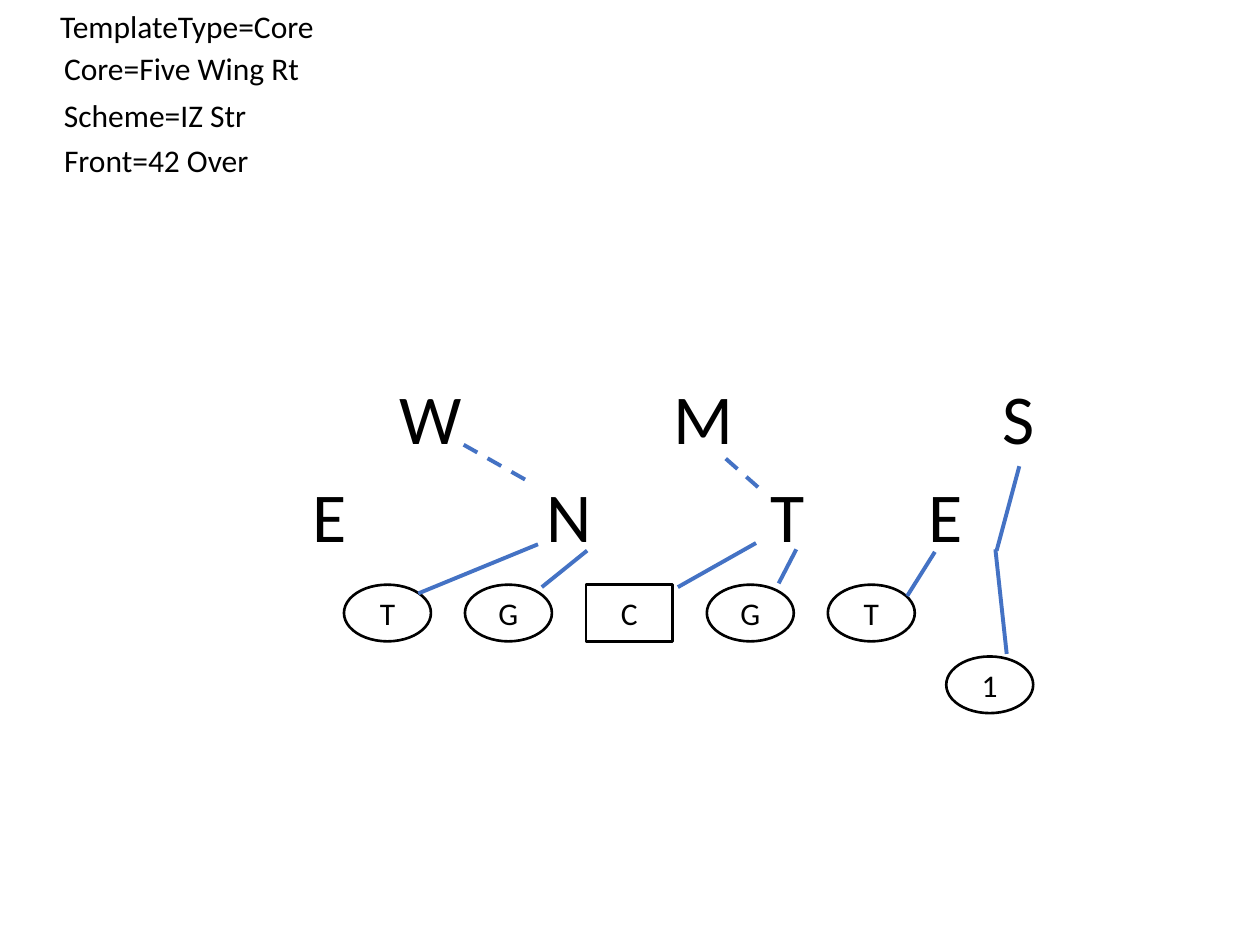
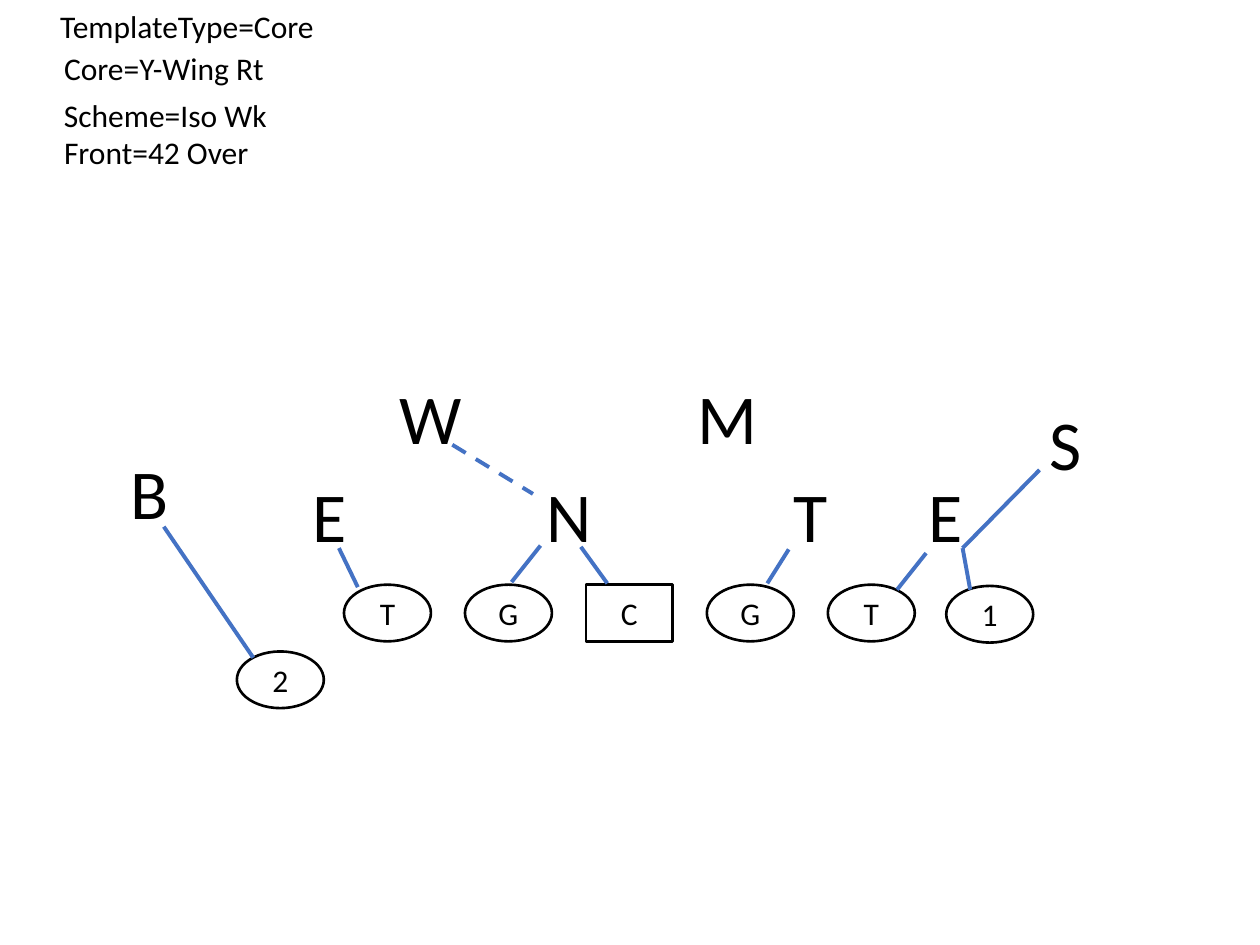
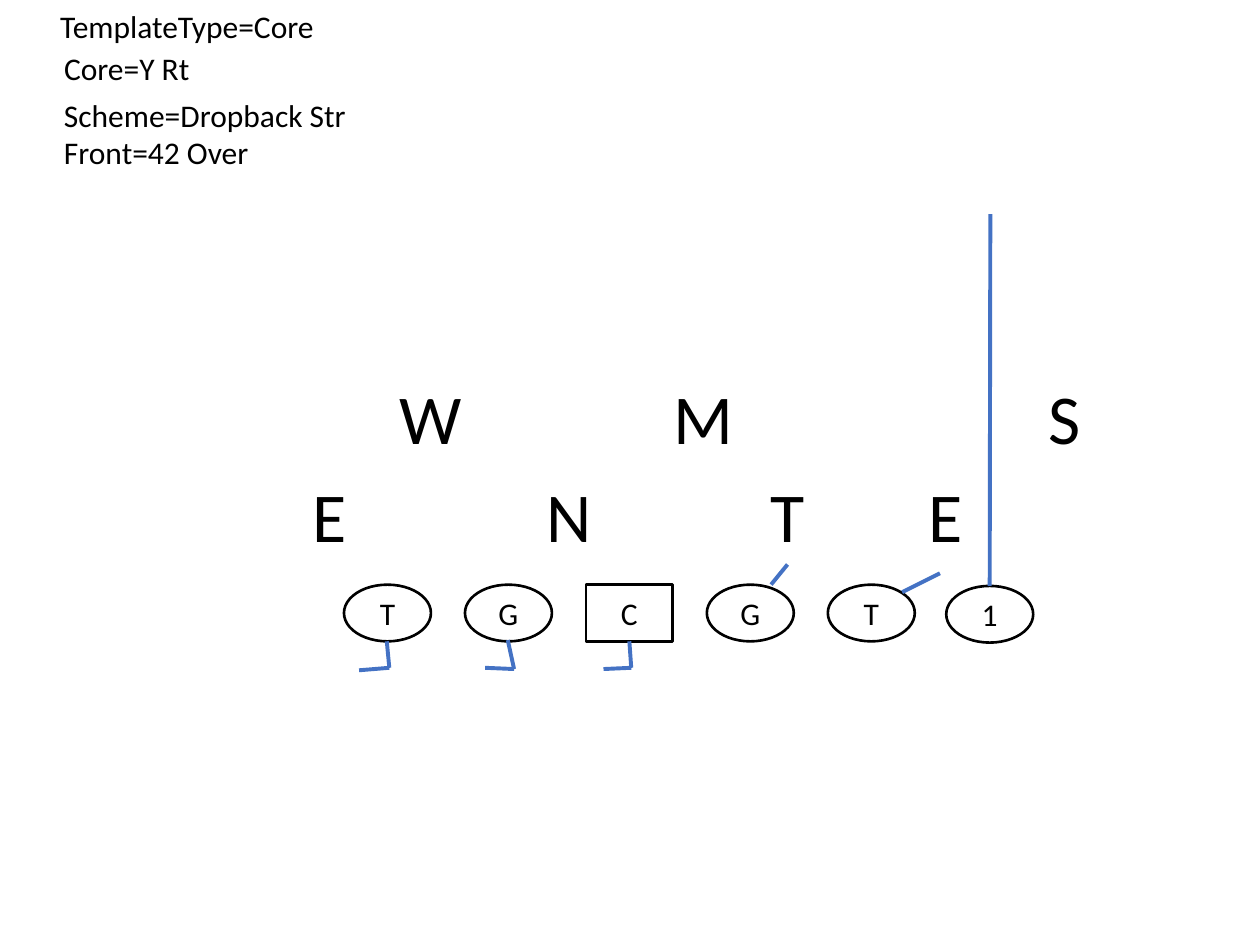
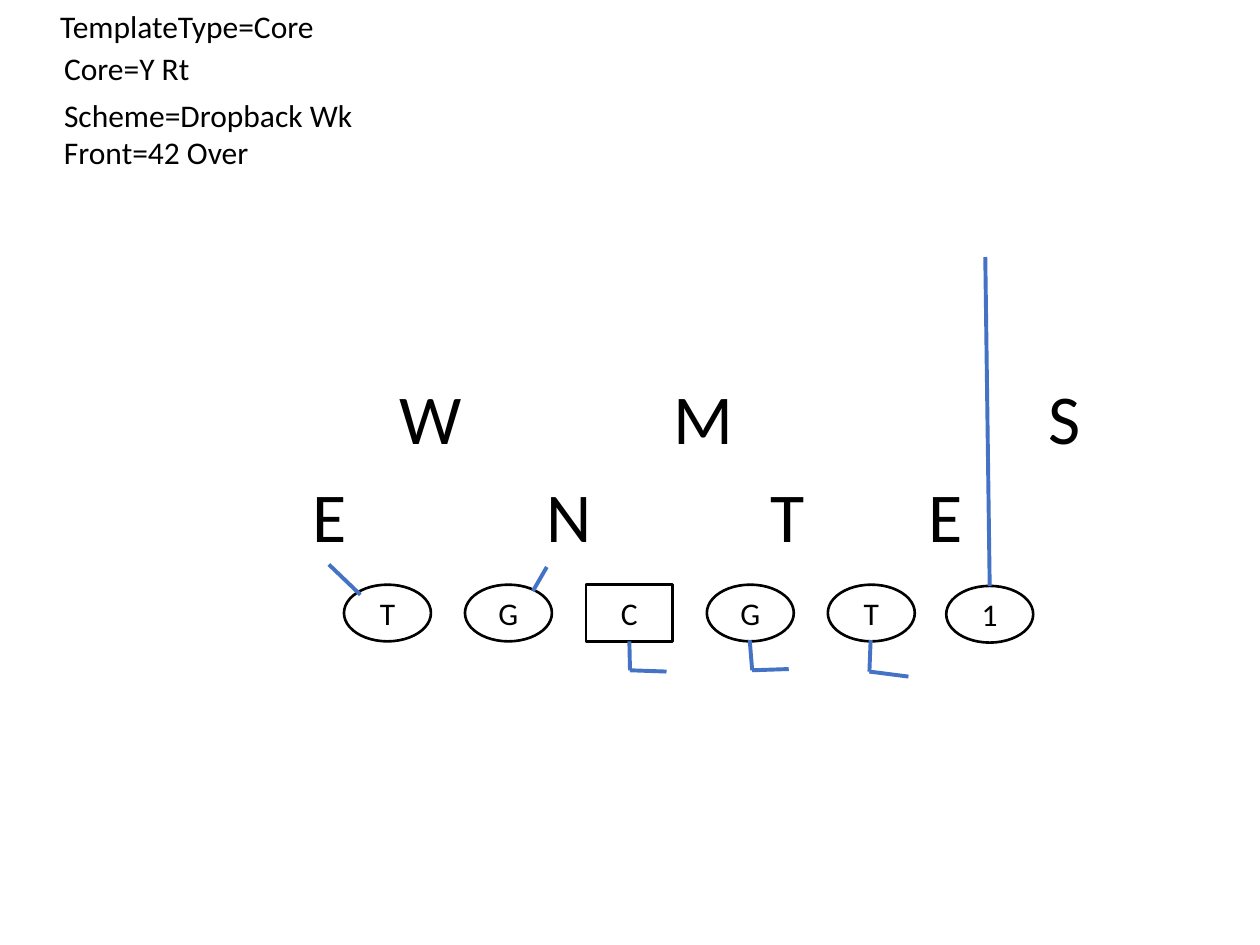
from dataclasses import dataclass
from typing import Any, NamedTuple

import pptx
import pptx.dml.color
import pptx.enum.dml
import pptx.enum.shapes
import pptx.enum.text
import pptx.oxml
import pptx.oxml.ns
import pptx.util

SHAPE = pptx.enum.shapes.MSO_SHAPE
PX = 9144  # EMU; 100 px to the inch
FONT = "Calibri"
BLACK, WHITE, BLUE = "000000", "FFFFFF", "4472C4"

TAG_SIZE, DEFENDER_SIZE = 18, 40
TAG_H, DEFENDER_H = 40, 77
BLOCKER_W, BLOCKER_H = 69, 45
LINE_X, LINE_Y, LINE_STEP = 273, 464, 96
WING_X = 751
TOP, BOTTOM = 0, 2


class Label(NamedTuple):
    text: str
    x: int
    y: int
    w: int


class Blocker(NamedTuple):
    text: str
    x: int
    y: int


class Route(NamedTuple):
    x1: int
    y1: int
    x2: int
    y2: int
    dashed: bool = False
    start: tuple[str, int] | None = None  # blocker and connection site


@dataclass(frozen=True)
class Play:
    tags: list[Label]
    defenders: list[Label]
    backs: list[Blocker]
    routes: list[Route]


OFFENSIVE_LINE = [Blocker(text, LINE_X + i * LINE_STEP, LINE_Y)
                  for i, text in enumerate("TGCGT")]
TIGHT_END = Blocker("1", WING_X, 465)
TEMPLATE_TAG = Label("TemplateType=Core", 38, 1, 224)


def tags(core: tuple[str, int], scheme: tuple[str, int],
         front_y: int = 101, front_w: int = 174) -> list[Label]:
    """Four header lines; core and scheme are (value, box width)."""
    return [Label(f"Core={core[0]}", 41, 34, core[1]),
            Label("Front=42 Over", 41, front_y, front_w),
            Label(f"Scheme={scheme[0]}", 41, 71, scheme[1]),
            TEMPLATE_TAG]


def over_front(sam: Label, tackle_x: int = 602, mike_x: int = 525) -> list[Label]:
    """The 42 Over front, with the positions that vary by play."""
    return [Label("N", 424, 370, 56), Label("T", tackle_x, 370, 48),
            Label("E", 727, 370, 48), Label("E", 238, 370, 48),
            Label("W", 307, 292, 70), Label("M", mike_x, 292, 70), sam]


WIDE_SAM = Label("S", 822, 292, 48)

PLAYS = [
    Play(tags(("Five Wing Rt", 209), ("IZ Str", 166), 107, 168),
         over_front(Label("S", 786, 292, 46)),
         [Blocker("1", WING_X, 521)],
         [Route(332, 471, 427, 432), Route(466, 437, 430, 466),
          Route(368, 353, 421, 383, dashed=True),
          Route(600, 431, 538, 466), Route(632, 436, 618, 463),
          Route(576, 364, 602, 387, dashed=True),
          Route(742, 438, 720, 473), Route(799, 519, 790, 436),
          Route(809, 370, 791, 437)]),
    Play(tags(("Y-Wing Rt", 182), ("Iso Wk", 183), front_w=168),
         over_front(Label("S", 823, 313, 48), 620, 544) + [Label("B", 94, 352, 51)],
         [TIGHT_END, Blocker("2", 188, 517)],
         [Route(130, 418, 201, 522), Route(269, 435, 284, 466),
          Route(429, 433, 406, 462), Route(461, 434, 482, 463),
          Route(359, 353, 423, 392, dashed=True),
          Route(626, 436, 609, 463), Route(735, 439, 712, 468),
          Route(764, 435, 770, 468), Route(764, 435, 825, 373)]),
    Play(tags(("Y Rt", 121), ("Dropback Str", 246)),
         over_front(WIDE_SAM),
         [TIGHT_END],
         [Route(786, 465, 786, 170, start=("1", TOP)),
          Route(716, 470, 746, 455), Route(625, 448, 612, 464),
          Route(499, 508, 501, 530, start=("C", BOTTOM)),
          Route(501, 530, 479, 531),
          Route(403, 508, 408, 531), Route(408, 531, 385, 530),
          Route(307, 509, 309, 530), Route(309, 530, 285, 532)]),
    Play(tags(("Y Rt", 121), ("Dropback Wk", 252)),
         over_front(WIDE_SAM),
         [TIGHT_END],
         [Route(261, 448, 286, 472), Route(434, 450, 423, 469),
          Route(499, 508, 500, 532, start=("C", BOTTOM)),
          Route(500, 532, 529, 533),
          Route(595, 508, 597, 532), Route(597, 532, 626, 531),
          Route(691, 508, 690, 533), Route(690, 533, 721, 537),
          Route(786, 465, 782, 204, start=("1", TOP))]),
]


def px(*lengths: int) -> list[pptx.util.Emu]:
    return [pptx.util.Emu(length * PX) for length in lengths]


def rgb(color: str) -> pptx.dml.color.RGBColor:
    return pptx.dml.color.RGBColor.from_string(color)


def set_all(target: Any, values: dict[str, Any]) -> None:
    for name, value in values.items():
        setattr(target, name, value)


def set_line(line: Any, color: str, width: float) -> None:
    line.color.rgb = rgb(color)
    line.width = pptx.util.Pt(width)


def write(tf: Any, text: str, size: int) -> Any:
    """Put one black run in the frame and return its paragraph."""
    p = tf.paragraphs[0]
    r = p.add_run()
    r.text = text
    set_all(r.font, {"name": FONT, "size": pptx.util.Pt(size)})
    r.font.color.rgb = rgb(BLACK)
    return p


def add_label(slide: Any, label: Label, height: int, size: int) -> None:
    tf = slide.shapes.add_textbox(*px(label.x, label.y, label.w, height)).text_frame
    write(tf, label.text, size)
    set_all(tf, {"word_wrap": False,
                 "auto_size": pptx.enum.text.MSO_AUTO_SIZE.SHAPE_TO_FIT_TEXT})


def add_blocker(slide: Any, blocker: Blocker) -> Any:
    kind = SHAPE.RECTANGLE if blocker.text == "C" else SHAPE.OVAL
    sp = slide.shapes.add_shape(kind, *px(blocker.x, blocker.y, BLOCKER_W, BLOCKER_H))
    sp.shadow.inherit = False
    sp.fill.solid()
    sp.fill.fore_color.rgb = rgb(WHITE)
    set_line(sp.line, BLACK, 1.5)
    sp.text_frame.vertical_anchor = pptx.enum.text.MSO_ANCHOR.MIDDLE
    p = write(sp.text_frame, blocker.text, TAG_SIZE)
    p.alignment = pptx.enum.text.PP_ALIGN.CENTER
    return sp


def add_route(slide: Any, route: Route, blockers: dict[str, Any]) -> None:
    cxn = slide.shapes.add_connector(
        pptx.enum.shapes.MSO_CONNECTOR.STRAIGHT,
        *px(route.x1, route.y1, route.x2, route.y2))
    set_line(cxn.line, BLUE, 2.25)
    if route.dashed:
        cxn.line.dash_style = pptx.enum.dml.MSO_LINE.DASH
    spPr = cxn._element.spPr
    spPr.append(pptx.oxml.parse_xml(
        f"<a:effectLst {pptx.oxml.ns.nsdecls('a')}/>"))
    if route.start:
        name, site = route.start
        cxn.begin_connect(blockers[name], site)


def draw_play(slide: Any, play: Play) -> None:
    for tag in play.tags:
        add_label(slide, tag, TAG_H, TAG_SIZE)
    blockers = {b.text: add_blocker(slide, b) for b in OFFENSIVE_LINE + play.backs}
    for defender in play.defenders:
        add_label(slide, defender, DEFENDER_H, DEFENDER_SIZE)
    for route in play.routes:
        add_route(slide, route, blockers)


def main() -> None:
    prs = pptx.Presentation()
    prs.slide_width, prs.slide_height = px(1000, 750)
    blank = prs.slide_layouts.get_by_name("Blank")
    for play in PLAYS:
        draw_play(prs.slides.add_slide(blank), play)
    prs.save("out.pptx")


if __name__ == "__main__":
    main()
